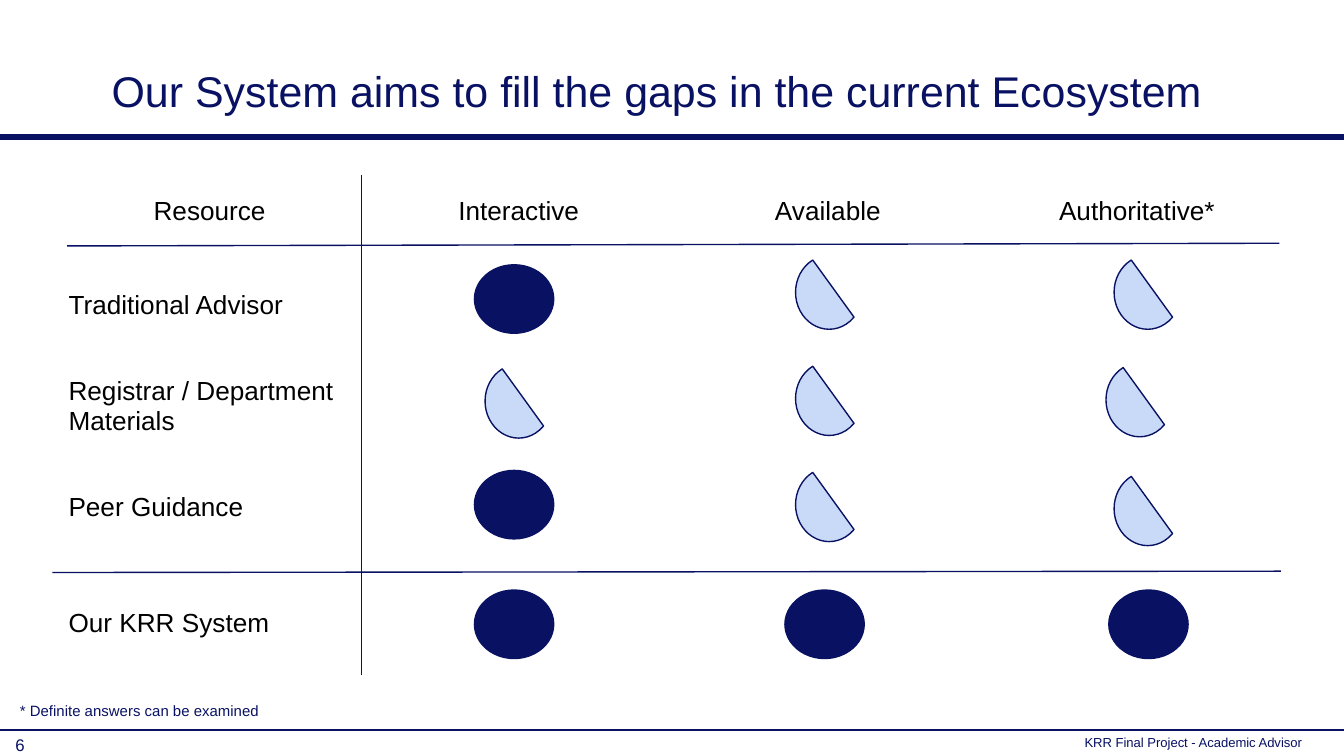
import pptx
import pptx.util
import pptx.dml.color
import pptx.enum.shapes
import pptx.enum.text
from pptx.util import Inches, Pt
from pptx.enum.text import MSO_ANCHOR, PP_ALIGN

COLORS = {"navy": "091163", "pale": "C9DAF8", "black": "000000"}
FONT = "Arial"
HEADERS = ["Resource", "Interactive", "Available", "Authoritative*"]
RESOURCES = ["Traditional Advisor", "Registrar / Department Materials",
             "Peer Guidance", "Our KRR System"]
FULL_MARKS = [(3.53, 1.97), (3.53, 3.5), (3.53, 4.39), (5.84, 4.39), (8.25, 4.39)]
PARTIAL_MARKS = [(3.61, 2.71), (5.92, 1.9), (5.92, 2.69), (5.92, 3.48),
                 (8.29, 1.9), (8.23, 2.7), (8.29, 3.51)]
RULES = [(0, 5.43, 10, 5.43, 1), (0, 1.02, 10, 1.02, 3),
         (2.69, 1.3, 2.69, 5.02, 0.75), (0.5, 1.83, 9.52, 1.81, 0.75),
         (0.39, 4.26, 9.53, 4.25, 0.75)]


def rgb(name):
    return pptx.dml.color.RGBColor.from_string(COLORS[name])


def format_text(tf, size, color, align):
    for p in tf.paragraphs:
        p.alignment = align
        for r in p.runs:
            r.font.name = FONT
            r.font.size = Pt(size)
            r.font.color.rgb = rgb(color)


def add_text(slide, text, box, size, anchor=MSO_ANCHOR.MIDDLE,
             align=PP_ALIGN.LEFT, inset=(0.09, 0.04)):
    tf = slide.shapes.add_textbox(*map(Inches, box)).text_frame
    tf.word_wrap = True
    tf.vertical_anchor = anchor
    tf.margin_left = tf.margin_right = Inches(inset[0])
    tf.margin_top = tf.margin_bottom = Inches(inset[1])
    tf.text = text
    format_text(tf, size, "navy", align)
    return tf


def add_rule(slide, x1, y1, x2, y2, width):
    line = slide.shapes.add_connector(
        pptx.enum.shapes.MSO_CONNECTOR.STRAIGHT, *map(Inches, (x1, y1, x2, y2)))
    line.line.color.rgb = rgb("navy")
    line.line.width = Pt(width)
    line._element.spPr.append(pptx.oxml.parse_xml(
        '<a:effectLst xmlns:a="http://schemas.openxmlformats.org/drawingml/2006/main"/>'))


def add_mark(slide, kind, left, top, width, height, fill):
    sp = slide.shapes.add_shape(kind, *map(Inches, (left, top, width, height)))
    sp.shadow.inherit = False
    sp.fill.solid()
    sp.fill.fore_color.rgb = rgb(fill)
    sp.line.color.rgb = rgb("navy")
    sp.line.width = Pt(0.75)
    return sp


def add_full_mark(slide, left, top):
    add_mark(slide, pptx.enum.shapes.MSO_SHAPE.OVAL, left, top, 0.59, 0.51, "navy")


def add_partial_mark(slide, left, top):
    sp = add_mark(slide, pptx.enum.shapes.MSO_SHAPE.CHORD, left, top, 0.5, 0.55, "pale")
    sp.adjustments[0] = 27
    sp.adjustments[1] = 145.8


def add_comparison_table(slide):
    rows = [HEADERS] + [[name, "", "", ""] for name in RESOURCES]
    table = slide.shapes.add_table(
        len(rows), len(HEADERS), *map(Inches, (0.41, 1.24, 9.2, 3.66))).table
    table.first_row = False
    table.horz_banding = False
    for col in table.columns:
        col.width = Inches(2.3)
    for i, texts in enumerate(rows):
        table.rows[i].height = Inches(0.75 if i else 0.66)
        for j, text in enumerate(texts):
            cell = table.cell(i, j)
            cell.fill.background()
            cell.vertical_anchor = MSO_ANCHOR.MIDDLE
            cell.margin_left = cell.margin_right = Inches(0.1)
            cell.margin_top = cell.margin_bottom = Inches(0.1)
            cell.text_frame.text = text
            format_text(cell.text_frame, 14, "black",
                        PP_ALIGN.LEFT if i else PP_ALIGN.CENTER)
    table.cell(len(RESOURCES), 0).margin_top = Inches(0.33)


def main():
    prs = pptx.Presentation()
    prs.slide_width = Inches(10)
    prs.slide_height = prs.slide_width * 9 // 16
    slide = prs.slides.add_slide(prs.slide_layouts[6])

    title = add_text(slide, "Our System aims to fill the gaps in the current Ecosystem",
                     (0.74, 0.02, 9.03, 0.89), 23, MSO_ANCHOR.BOTTOM)
    title.paragraphs[0].line_spacing = 0.9
    add_comparison_table(slide)
    for rule in RULES:
        add_rule(slide, *rule)
    for left, top in FULL_MARKS:
        add_full_mark(slide, left, top)
    for left, top in PARTIAL_MARKS:
        add_partial_mark(slide, left, top)
    footnote = add_text(slide, "* Definite answers can be examined",
                        (0.05, 5.15, 2.83, 0.25), 8, MSO_ANCHOR.TOP, inset=(0.1, 0.1))
    footnote.auto_size = pptx.enum.text.MSO_AUTO_SIZE.SHAPE_TO_FIT_TEXT
    add_text(slide, "6", (-0.17, 5.45, 0.64, 0.18), 9, align=PP_ALIGN.CENTER)
    add_text(slide, "KRR Final Project - Academic Advisor", (7.98, 5.45, 4.12, 0.14), 7)
    prs.save("out.pptx")


if __name__ == "__main__":
    main()
